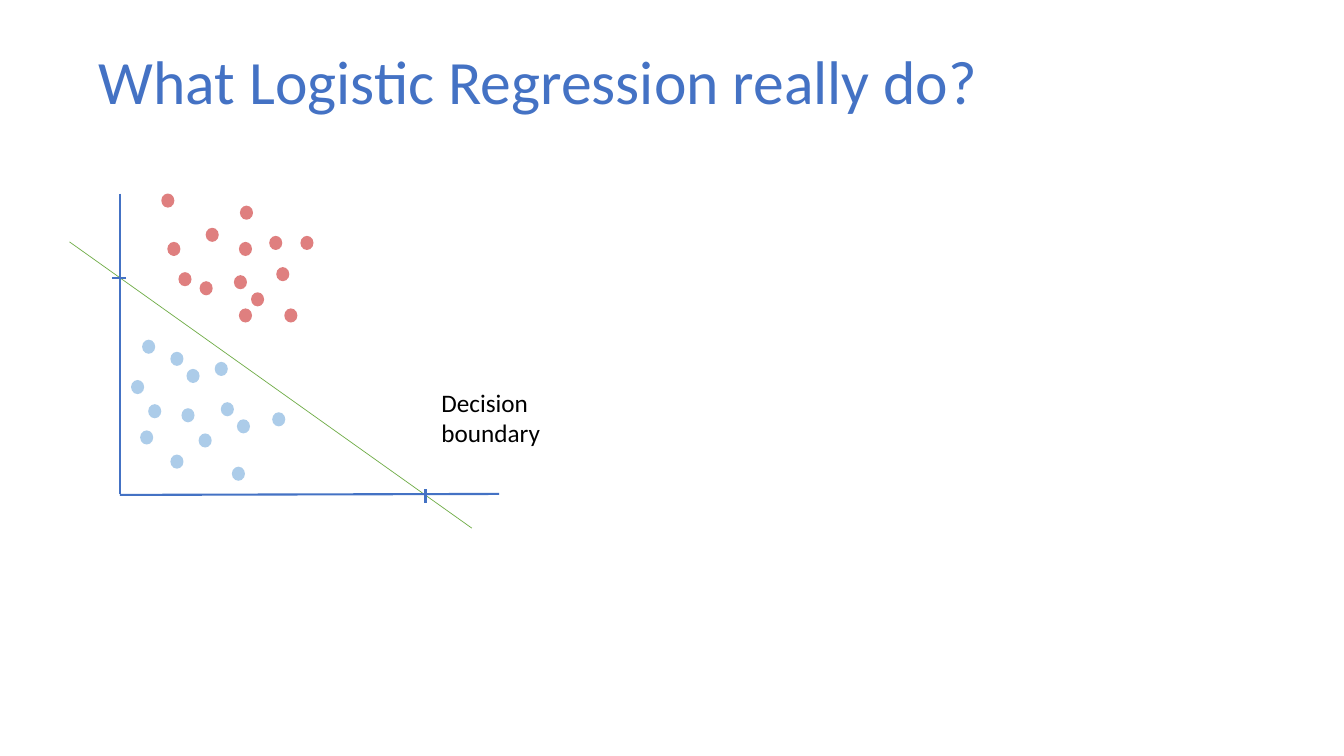
from typing import NamedTuple

from lxml.etree import SubElement
from pptx import Presentation
from pptx.dml.color import RGBColor
from pptx.enum.shapes import MSO_CONNECTOR, MSO_SHAPE
from pptx.enum.text import MSO_ANCHOR, MSO_AUTO_SIZE, PP_ALIGN
from pptx.oxml.ns import qn
from pptx.shapes.shapetree import GroupShapes
from pptx.text.text import TextFrame
from pptx.util import Emu, Pt

PX = 9144
FONT = "Calibri"
BLUE = RGBColor(0x44, 0x72, 0xC4)
GREEN = RGBColor(0x70, 0xAD, 0x47)
RED = RGBColor(0xC0, 0x00, 0x00)
SKY = RGBColor(0x5B, 0x9B, 0xD5)
BLACK = RGBColor(0x00, 0x00, 0x00)
DOT_WIDTH, DOT_HEIGHT = 13, 14


class Line(NamedTuple):
    x1: int
    y1: int
    x2: int
    y2: int
    color: RGBColor = BLUE
    weight: float = 1.5


class PointClass(NamedTuple):
    color: RGBColor
    points: list[tuple[int, int]]


BOUNDARY = Line(69, 240, 468, 524, GREEN, 0.5)
AXES = [Line(119, 192, 119, 490), Line(119, 491, 495, 490)]
INTERCEPTS = [Line(125, 276, 111, 276), Line(422, 499, 422, 485)]
CLASSES = [
    PointClass(RED, [
        (160, 192), (204, 226), (238, 204), (298, 234), (267, 234),
        (237, 240), (274, 265), (198, 279), (166, 240), (177, 270),
        (232, 273), (249, 290), (237, 306), (282, 306),
    ]),
    PointClass(SKY, [
        (141, 337), (169, 349), (185, 366), (213, 359), (219, 399),
        (235, 416), (270, 409), (130, 377), (147, 401), (139, 427),
        (180, 405), (197, 430), (169, 451), (230, 463),
    ]),
]


def px(*lengths: int) -> list[Emu]:
    return [Emu(length * PX) for length in lengths]


def write(frame: TextFrame, text: str, *, size: int, color: RGBColor,
          anchor: MSO_ANCHOR = MSO_ANCHOR.TOP, spacing: float = 1.0,
          fit: MSO_AUTO_SIZE = MSO_AUTO_SIZE.NONE) -> None:
    frame.word_wrap = True
    frame.auto_size = fit
    frame.vertical_anchor = anchor
    paragraph = frame.paragraphs[0]
    paragraph.alignment = PP_ALIGN.LEFT
    paragraph.line_spacing = spacing
    run = paragraph.add_run()
    run.text = text
    run.font.name = FONT
    run.font.size = Pt(size)
    run.font.color.rgb = color


def draw_line(shapes: GroupShapes, line: Line) -> None:
    stroke = shapes.add_connector(
        MSO_CONNECTOR.STRAIGHT, *px(line.x1, line.y1, line.x2, line.y2))
    stroke.line.color.rgb = line.color
    stroke.line.width = Pt(line.weight)
    SubElement(stroke._element.spPr, qn("a:effectLst"))


def draw_points(shapes: GroupShapes, group: PointClass) -> None:
    for left, top in group.points:
        dot = shapes.add_shape(
            MSO_SHAPE.OVAL, *px(left, top, DOT_WIDTH, DOT_HEIGHT))
        dot.shadow.inherit = False
        dot.line.fill.background()
        dot.fill.solid()
        dot.fill.fore_color.rgb = group.color
        color = dot._element.spPr.find(qn("a:solidFill"))[0]
        SubElement(color, qn("a:alpha"), val="50000")


def main() -> None:
    deck = Presentation()
    deck.slide_width, deck.slide_height = px(1333, 750)
    slide = deck.slides.add_slide(deck.slide_layouts.get_by_name("Title Only"))

    title = slide.shapes.title
    title.left, title.top, title.width, title.height = px(88, 44, 1150, 80)
    write(title.text_frame, "What Logistic Regression really do?", size=44,
          color=BLUE, anchor=MSO_ANCHOR.MIDDLE, spacing=0.9)

    draw_line(slide.shapes, BOUNDARY)
    boundary_label = slide.shapes.add_textbox(*px(428, 379, 127, 71))
    write(boundary_label.text_frame, "Decision boundary", size=18, color=BLACK,
          fit=MSO_AUTO_SIZE.SHAPE_TO_FIT_TEXT)

    plot = slide.shapes.add_group_shape().shapes
    for axis in AXES:
        draw_line(plot, axis)
    for group in CLASSES:
        draw_points(plot, group)
    for tick in INTERCEPTS:
        draw_line(plot, tick)

    deck.save("out.pptx")


if __name__ == "__main__":
    main()
